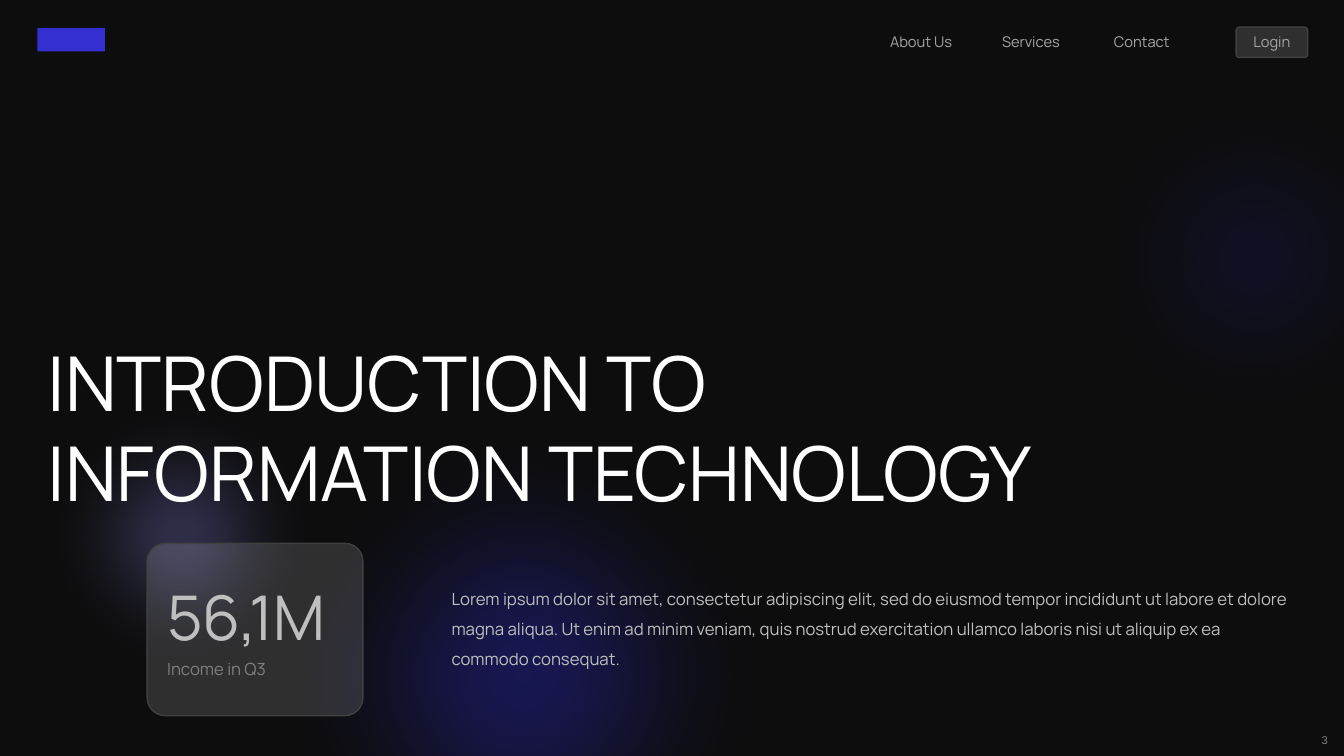
from dataclasses import dataclass

from lxml import etree
from pptx import Presentation
from pptx import util as u
from pptx.dml import color
from pptx.enum import shapes, text
from pptx.oxml import ns


@dataclass(frozen=True)
class Theme:
    background: str = "0D0D0D"
    glass: str = "F2F2F2"
    outline: str = "404040"
    accent: str = "332FD0"
    deep_glow: str = "26239C"
    pale_glow: str = "8582E3"
    heading: str = "FFFFFF"
    body: str = "BFBFBF"
    menu: str = "A6A6A6"
    muted: str = "7F7F7F"
    font: str = "Manrope"
    number_font: str = "Arial"
    title_size: float = 54
    figure_size: float = 44
    body_size: float = 12
    menu_size: float = 10.5
    number_size: float = 8


THEME = Theme()


def rgb(value):
    return color.RGBColor.from_string(value)


def write(shape, words, size, ink, align=text.PP_ALIGN.LEFT, spacing=1.0, font=THEME.font):
    frame = shape.text_frame
    frame.text = words
    frame.word_wrap = True
    frame.auto_size = text.MSO_AUTO_SIZE.NONE
    frame.vertical_anchor = text.MSO_ANCHOR.TOP
    frame.margin_left = frame.margin_right = u.Inches(0.1)
    frame.margin_top = frame.margin_bottom = u.Inches(0.05)
    paragraph = frame.paragraphs[0]
    paragraph.alignment = align
    paragraph.line_spacing = spacing
    for run in paragraph.runs:
        run.font.name = font
        run.font.size = u.Pt(size)
        run.font.color.rgb = rgb(ink)


def add_label(slide, box, words, size, ink, **options):
    shape = slide.shapes.add_textbox(*map(u.Inches, box))
    write(shape, words, size, ink, **options)


def add_filled(slide, kind, box, fill, opacity=100):
    shape = slide.shapes.add_shape(kind, *map(u.Inches, box))
    shape.shadow.inherit = False
    shape.fill.solid()
    shape.fill.fore_color.rgb = rgb(fill)
    shape.line.fill.background()
    if opacity < 100:
        tint = shape.fill._xPr.find(".//" + ns.qn("a:srgbClr"))
        etree.SubElement(tint, ns.qn("a:alpha"), val=str(opacity * 1000))
    return shape


def add_glass(slide, box):
    shape = add_filled(slide, shapes.MSO_SHAPE.ROUNDED_RECTANGLE, box, THEME.glass, 15)
    shape.adjustments[0] = 0.105
    shape.line.color.rgb = rgb(THEME.outline)
    shape.line.width = u.Pt(1)
    return shape


def add_glow(slide, left, top, diameter, fill, opacity, softness):
    box = (left, top, diameter, diameter)
    shape = add_filled(slide, shapes.MSO_SHAPE.OVAL, box, fill, opacity)
    effects = shape._element.spPr.find(ns.qn("a:effectLst"))
    etree.SubElement(effects, ns.qn("a:softEdge"), rad=str(u.Pt(softness)))


def add_header(slide, left, top, width):
    button_width = 0.71
    button = add_glass(slide, (left + width - button_width, top, button_width, 0.3))
    write(button, "Login", THEME.menu_size, THEME.menu, align=text.PP_ALIGN.CENTER)
    add_filled(slide, shapes.MSO_SHAPE.RECTANGLE, (left, top + 0.01, 0.67, 0.23), THEME.accent)
    for index, words in enumerate(("About Us", "Services", "Contact")):
        box = (left + 8.36 + 1.11 * index, top + 0.01, 0.87, 0.29)
        add_label(slide, box, words, THEME.menu_size, THEME.menu)


def add_title(slide, box):
    title = slide.shapes.title
    title.left, title.top, title.width, title.height = map(u.Inches, box)
    write(title, "INTRODUCTION TO INFORMATION TECHNOLOGY", THEME.title_size, THEME.heading)
    slide.shapes._spTree.append(title._element)


def add_income_card(slide, left, top, width, height):
    add_glass(slide, (left, top, width, height))
    inner_left, inner_width = left + 0.1, width - 0.1
    add_label(slide, (inner_left, top + 0.3, inner_width, 0.84), "56,1M",
              THEME.figure_size, THEME.body)
    add_label(slide, (inner_left, top + 1, inner_width, 0.4), "Income in Q3",
              THEME.body_size, THEME.muted, spacing=1.5)


def build_intro_slide(presentation):
    slide = presentation.slides.add_slide(presentation.slide_layouts[5])
    slide.background.fill.solid()
    slide.background.fill.fore_color.rgb = rgb(THEME.background)
    add_header(slide, 0.37, 0.27, 12.6)
    add_label(slide, (12.4, 7.23, 0.87, 0.24), "3", THEME.number_size, THEME.muted,
              align=text.PP_ALIGN.RIGHT, font=THEME.number_font)
    add_glow(slide, 10.02, 0.14, 4.84, THEME.deep_glow, 52, 100)
    add_glow(slide, 2.08, 3.59, 6.23, THEME.deep_glow, 52, 100)
    add_glow(slide, 0.01, 3.53, 3.58, THEME.pale_glow, 37, 62)
    add_title(slide, (0.37, 3.28, 10.74, 1.92))
    add_label(slide, (4.38, 5.69, 8.58, 1.01),
              "Lorem ipsum dolor sit amet, consectetur adipiscing elit, sed do eiusmod "
              "tempor incididunt ut labore et dolore magna aliqua. Ut enim ad minim veniam, "
              "quis nostrud exercitation ullamco laboris nisi ut aliquip ex ea "
              "commodo consequat.",
              THEME.body_size, THEME.body, spacing=1.5)
    add_income_card(slide, 1.46, 5.39, 2.14, 1.71)


def main():
    presentation = Presentation()
    presentation.slide_width = u.Inches(13.33)
    presentation.slide_height = u.Inches(7.5)
    build_intro_slide(presentation)
    presentation.save("out.pptx")


if __name__ == "__main__":
    main()
